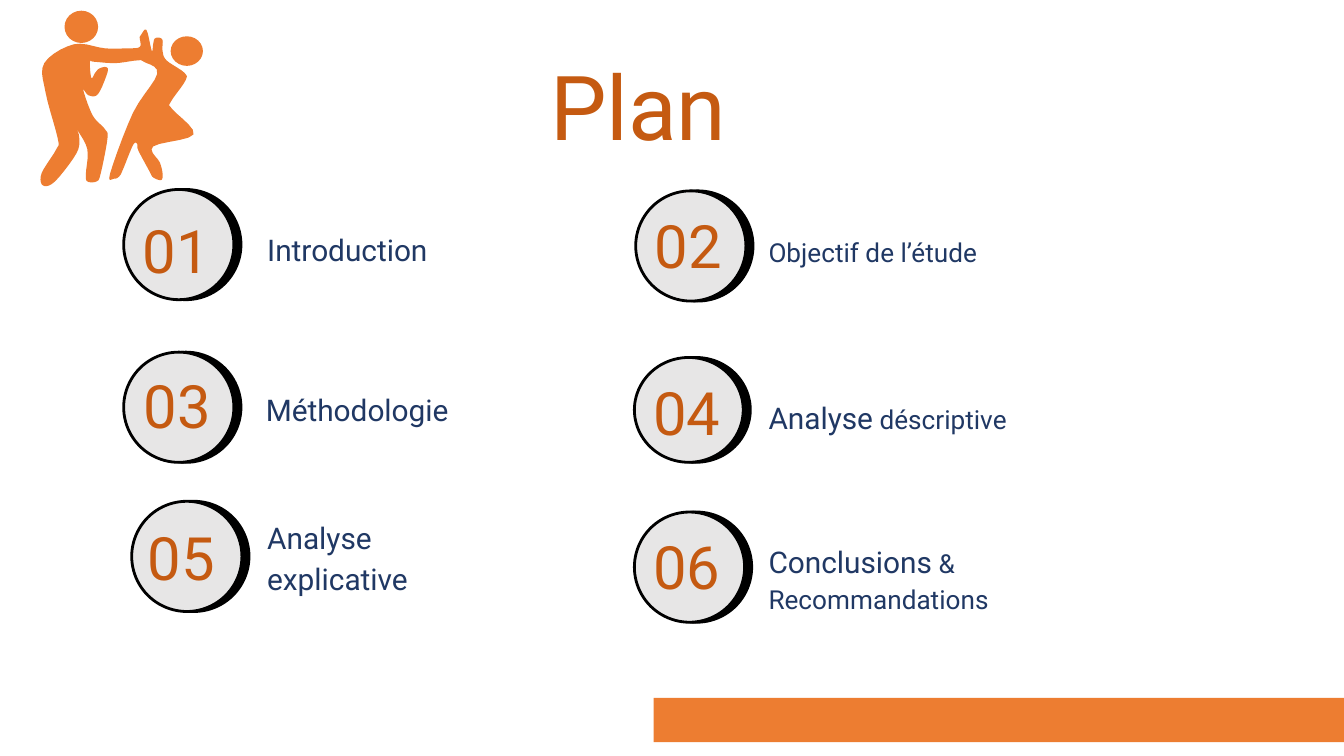
"""Build the agenda slide: six numbered topics, a pictogram and a footer bar."""
from dataclasses import dataclass
from typing import NamedTuple

from lxml.etree import SubElement
from pptx import Presentation
from pptx.dml.color import RGBColor
from pptx.enum.shapes import MSO_SHAPE as Preset
from pptx.enum.text import MSO_ANCHOR as Anchor, PP_ALIGN as Align
from pptx.oxml.ns import qn
from pptx.util import Inches, Pt

COLORS = {
    "orange": "ED7D31",
    "rust": "C55A11",
    "navy": "203864",
    "grey": "E7E6E6",
    "black": "000000",
}
FONT = "Roboto"
WIDTH = Inches(10)
HEIGHT = WIDTH * 9 // 16
CELL = WIDTH / 100
BADGE = 8.2
CURVE_STEPS = 5


class Box(NamedTuple):
    """Left, top, width and height in grid cells."""
    left: float
    top: float
    width: float
    height: float


class Span(NamedTuple):
    """A stretch of text in one size."""
    text: str
    size: int


@dataclass(frozen=True)
class Topic:
    """One numbered entry of the agenda."""
    badge: Box
    numeral: Box
    label: Box
    spans: tuple[Span, ...]


TOPICS = (
    Topic(Box(9.2, 14.1, BADGE, BADGE), Box(9, 16.6, BADGE, 4),
          Box(18.9, 17, 17.6, 2.8), (Span("Introduction", 16),)),
    Topic(Box(47.3, 14.2, BADGE, BADGE), Box(47.1, 16.6, BADGE, 3.2),
          Box(56.2, 16.7, 24.6, 3.7), (Span("Objectif de l’étude", 14),)),
    Topic(Box(9.2, 26.2, BADGE, BADGE), Box(9.1, 28.5, BADGE, 3.2),
          Box(18.8, 29, 19.7, 2.6), (Span("Méthodologie", 16),)),
    Topic(Box(47.2, 26.6, 8.1, 7.8), Box(47, 29, BADGE, 3.2),
          Box(56.2, 29.6, 30, 2.5), (Span("Analyse", 16), Span(" déscriptive", 14))),
    Topic(Box(9.8, 37.3, BADGE, BADGE), Box(9.4, 39.8, BADGE, 3.2),
          Box(18.9, 39.7, 19.7, 3.2), (Span("Analyse explicative", 16),)),
    Topic(Box(47.2, 38.1, BADGE, BADGE), Box(47, 40.6, BADGE, 3),
          Box(56.2, 41.2, 30.6, 3.4), (Span("Conclusions", 16), Span(" & Recommandations", 14))),
)

HEADS = (Box(4.8, 0.8, 2.5, 2.4), Box(12.7, 2.7, 2.4, 2.2))
BODIES = (
    (14.4, 10), (11.4, 10.9), (11.9, 12.1), (12.1, 12.9), (12, 13.4), (11.4, 13.2),
    (11.1, 12.7), (10.3, 11.2), (10.2, 10.7), (9.9, 10.8), (9.2, 12.5), (8.9, 13.1),
    (8.5, 13.3), (8.2, 12.9), (9.9, 8.4), (11.7, 5.5), (10.7, 4.6), (10.2, 4.5),
    (8.6, 4.7), (7, 4.6), (6.7, 4.6), (6.8, 5.8), (7.1, 5.4), (7.4, 5.1), (7.9, 5),
    (8, 5.4), (7.3, 7), (6.6, 7.1), (6.2, 6.7), (6.9, 8.6), (7.8, 9.6), (8, 10.3),
    (7.5, 12.9), (7.2, 13.5), (6.5, 13.5), (6.4, 12.9), (6.5, 11.1), (5.7, 9.6),
    (5.9, 10.2), (5.7, 11.4), (4.1, 13.5), (3.2, 13.8), (3.1, 12.9), (4.2, 11.1),
    (4.3, 10.3), (3.4, 6.9), (3.3, 4.7), (5.5, 3.3), (7.8, 3.6), (9.4, 3.6),
    (10.4, 3.5), (10.4, 2.8), (10.5, 2.6), (10.8, 2.2), (11, 2.5), (11.3, 3.8),
    (11.4, 3.3), (11.5, 2.9), (11.8, 2.8), (12.1, 3), (12.1, 3.8), (12.4, 4.5),
    (13.7, 5.4), (13.8, 6), (12.7, 7.6), (12.8, 8.1),
)


def place(cells: tuple[float, ...]) -> tuple[int, ...]:
    """Convert grid cells to slide units."""
    return tuple(round(value * CELL) for value in cells)


def paint(shape, color: str) -> None:
    """Give a shape a plain fill without line or shadow."""
    shape.fill.solid()
    shape.fill.fore_color.rgb = RGBColor.from_string(COLORS[color])
    shape.line.fill.background()
    shape.shadow.inherit = False


def add_shape(shapes, preset: Preset, box: Box, color: str):
    """Add a plain filled preset shape."""
    shape = shapes.add_shape(preset, *place(box))
    paint(shape, color)
    return shape


def add_badge(shapes, box: Box) -> None:
    """Add an outlined disc with a hard shadow to its right."""
    badge = add_shape(shapes, Preset.OVAL, box, "grey")
    badge.line.color.rgb = RGBColor.from_string(COLORS["black"])
    badge.line.width = Pt(1.5)
    effects = badge.element.spPr.find(qn("a:effectLst"))
    shadow = SubElement(effects, qn("a:outerShdw"), blurRad="0", dist=str(Pt(3.8)),
                        dir="0", algn="ctr", rotWithShape="0")
    SubElement(shadow, qn("a:srgbClr"), val=COLORS["black"])


def add_text(shapes, box: Box, spans: tuple[Span, ...], *, color: str,
             align: Align = Align.LEFT, spacing: float = 1.0) -> None:
    """Add a wrapped, vertically centred text box."""
    frame = shapes.add_textbox(*place(box)).text_frame
    frame.word_wrap = True
    frame.vertical_anchor = Anchor.MIDDLE
    frame.margin_left = frame.margin_right = Inches(0.1)
    frame.margin_top = frame.margin_bottom = Inches(0.1)
    para = frame.paragraphs[0]
    para.alignment = align
    para.line_spacing = spacing
    for span in spans:
        run = para.add_run()
        run.text = span.text
        run.font.name = FONT
        run.font.size = Pt(span.size)
        run.font.color.rgb = RGBColor.from_string(COLORS[color])


def smooth_outline(points: tuple) -> list[tuple[int, ...]]:
    """Sample a closed Catmull-Rom curve through the points, in slide units."""
    outline = []
    for index, start in enumerate(points):
        before, end = points[index - 1], points[(index + 1) % len(points)]
        after = points[(index + 2) % len(points)]
        for step in range(CURVE_STEPS):
            t = step / CURVE_STEPS
            outline.append(place(tuple(
                b + (c - a) * t / 2 + (2 * a - 5 * b + 4 * c - d) * t**2 / 2
                + (3 * b - a - 3 * c + d) * t**3 / 2
                for a, b, c, d in zip(before, start, end, after))))
    return outline


def add_pictogram(shapes) -> None:
    """Add the group of two figures."""
    group = shapes.add_group_shape()
    outline = smooth_outline(BODIES)
    builder = group.shapes.build_freeform(*outline[0])
    builder.add_line_segments(outline[1:], close=True)
    paint(builder.convert_to_shape(), "orange")
    for head in HEADS:
        add_shape(group.shapes, Preset.OVAL, head, "orange")


def main() -> None:
    """Build and save the deck."""
    deck = Presentation()
    deck.slide_width, deck.slide_height = WIDTH, HEIGHT
    page = deck.slides.add_slide(deck.slide_layouts[6])
    shapes = page.shapes
    add_shape(shapes, Preset.RECTANGLE, Box(48.64, 51.93, 51.36, 3.3), "orange")
    for number, topic in enumerate(TOPICS, 1):
        add_badge(shapes, topic.badge)
        add_text(shapes, topic.numeral, (Span(f"{number:02}", 32),),
                 color="rust", align=Align.CENTER)
        add_text(shapes, topic.label, topic.spans, color="navy", spacing=1.15)
    add_pictogram(shapes)
    add_text(shapes, Box(5.3, 5.2, 84.4, 5.2), (Span("Plan", 48),),
             color="rust", align=Align.CENTER)
    deck.save("out.pptx")


if __name__ == "__main__":
    main()
